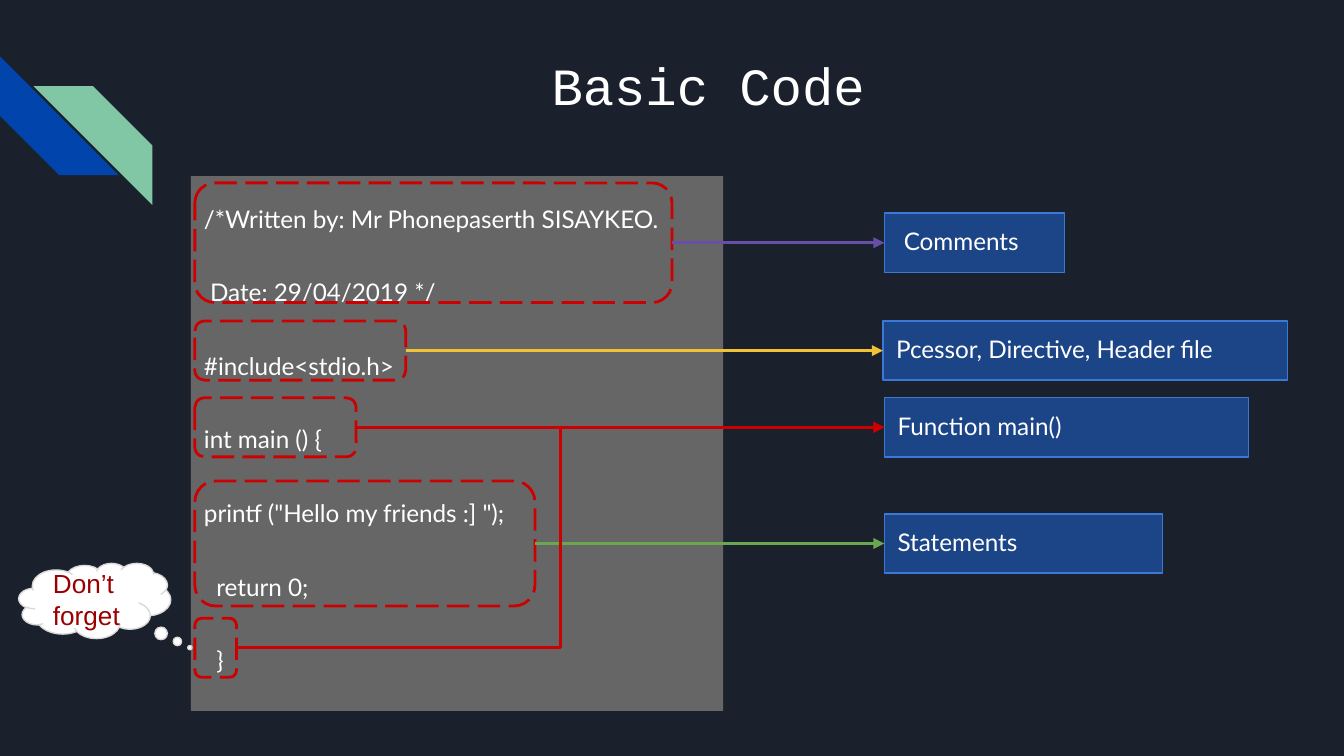
from dataclasses import dataclass

from lxml import etree
from pptx import Presentation
from pptx.dml.color import RGBColor
from pptx.enum import dml, shapes, text
from pptx.oxml import ns
from pptx.util import Pt

SHAPE = shapes.MSO_SHAPE
LINK = shapes.MSO_CONNECTOR
RIGHT_SITE, LEFT_SITE = 3, 1


@dataclass(frozen=True)
class Theme:
    background: str = "1B212C"
    white: str = "FFFFFF"
    blue: str = "0145AC"
    mint: str = "82C7A5"
    panel: str = "666666"
    label: str = "1C4587"
    label_edge: str = "3C78D8"
    red: str = "CC0000"
    purple: str = "674EA7"
    yellow: str = "F1C232"
    green: str = "6AA84F"
    cloud_edge: str = "D9D9D9"
    cloud_text: str = "990000"
    title_size: float = 28
    code_size: float = 13
    cloud_size: float = 14


THEME = Theme()

CODE = [
    "/*Written by: Mr Phonepaserth SISAYKEO.",
    " Date: 29/04/2019 */",
    "#include<stdio.h>",
    "int main () {",
    'printf ("Hello my friends :] ");',
    "  return 0;",
    "  }",
]
ROW_HEIGHT = 31.7
# Top, width and height in the panel; label text, left and width; arrow colour
PARTS = [
    (3.7, 255.6, 64.1, " Comments", 473.8, 96.5, THEME.purple),
    (77.7, 113, ROW_HEIGHT, "Pcessor, Directive, Header file", 473, 216.7, THEME.yellow),
    (118.8, 86.4, ROW_HEIGHT, "Function main()", 473.8, 195.1, THEME.red),
    (163.4, 182.2, 67, "Statements", 473.8, 149, THEME.green),
]
CLOSING_BRACE = (236.9, 22.3, ROW_HEIGHT)


def rgb(value):
    return RGBColor.from_string(value)


def add_box(slide, kind, box, fill=None, edge=None, weight=0.75):
    shape = slide.shapes.add_shape(kind, *map(Pt, box))
    shape.shadow.inherit = False
    if fill:
        shape.fill.solid()
        shape.fill.fore_color.rgb = rgb(fill)
    else:
        shape.fill.background()
    if edge:
        shape.line.color.rgb = rgb(edge)
        shape.line.width = Pt(weight)
    else:
        shape.line.fill.background()
    return shape


def write(shape, lines, *, size, font="Lato", color=THEME.white,
          align=text.PP_ALIGN.LEFT, anchor=text.MSO_ANCHOR.TOP,
          line_spacing=None, before=0, after=0):
    frame = shape.text_frame
    frame.word_wrap = True
    frame.vertical_anchor = anchor
    frame.margin_left = frame.margin_right = Pt(7.2)
    frame.margin_top = frame.margin_bottom = Pt(7.2)
    for i, line in enumerate(lines):
        paragraph = frame.add_paragraph() if i else frame.paragraphs[0]
        paragraph.text = line
        paragraph.alignment = align
        paragraph.line_spacing = line_spacing
        paragraph.space_before = Pt(before if i else 0)
        paragraph.space_after = Pt(after)
        paragraph.font.name = font
        paragraph.font.size = Pt(size)
        paragraph.font.color.rgb = rgb(color)


def add_arrow(slide, source, target, color, kind=LINK.STRAIGHT):
    """Join the right side of source to the left side of target."""
    start_y = source.top + source.height // 2
    end_y = target.top + target.height // 2
    arrow = slide.shapes.add_connector(
        kind, source.left + source.width, start_y, target.left, end_y)
    arrow.begin_connect(source, RIGHT_SITE)
    arrow.end_connect(target, LEFT_SITE)
    arrow.line.color.rgb = rgb(color)
    arrow.line.width = Pt(1.5)
    line = arrow.line._get_or_add_ln()
    etree.SubElement(line, ns.qn("a:tailEnd"), type="triangle")
    etree.SubElement(arrow._element.spPr, ns.qn("a:effectLst"))


def add_corner_stripes(slide, box):
    left, top, side = box
    offsets = [(0, 0, 270, THEME.blue), (18, 16, 90, THEME.mint)]
    for dx, dy, turn, color in offsets:
        stripe = add_box(slide, SHAPE.DIAGONAL_STRIPE,
                         (left + dx, top + dy, side, side), color)
        stripe.rotation = turn


def add_title(slide, box):
    title = slide.shapes.add_textbox(*map(Pt, box))
    write(title, ["Basic Code"], size=THEME.title_size, font="Courier New",
          align=text.PP_ALIGN.CENTER, anchor=text.MSO_ANCHOR.MIDDLE)


def add_code_diagram(slide, box):
    left, top = box[:2]

    def add_outline(dy, width, height):
        outline = add_box(slide, SHAPE.ROUNDED_RECTANGLE,
                          (left + 2.2, top + dy, width, height),
                          edge=THEME.red, weight=1.5)
        outline.line.dash_style = dml.MSO_LINE.LONG_DASH
        return outline

    # Code panel
    panel = add_box(slide, SHAPE.RECTANGLE, box, THEME.panel)
    write(panel, CODE, size=THEME.code_size, line_spacing=1.5, before=16)

    # Each part of the code with its label and arrow
    labels = {}
    for dy, width, height, caption, label_left, label_width, color in PARTS:
        outline = add_outline(dy, width, height)
        label_top = top + dy + (height - ROW_HEIGHT) / 2
        label = add_box(slide, SHAPE.RECTANGLE,
                        (label_left, label_top, label_width, ROW_HEIGHT),
                        THEME.label, THEME.label_edge)
        write(label, [caption], size=THEME.code_size, after=16)
        add_arrow(slide, outline, label, color)
        labels[caption] = label

    # The closing brace belongs to main()
    brace = add_outline(*CLOSING_BRACE)
    add_arrow(slide, brace, labels["Function main()"], THEME.red, LINK.ELBOW)


def add_reminder(slide, box):
    cloud = add_box(slide, SHAPE.CLOUD_CALLOUT, box, THEME.white, THEME.cloud_edge)
    cloud.adjustments[0] = 0.626
    cloud.adjustments[1] = 0.624
    write(cloud, ["Don’t forget"], size=THEME.cloud_size, font="Arial",
          color=THEME.cloud_text, anchor=text.MSO_ANCHOR.MIDDLE)


def main():
    deck = Presentation()
    deck.slide_width, deck.slide_height = Pt(720), Pt(405)
    slide = deck.slides.add_slide(deck.slide_layouts[6])
    slide.background.fill.solid()
    slide.background.fill.fore_color.rgb = rgb(THEME.background)
    add_corner_stripes(slide, (0, 30.2, 63.6))
    add_title(slide, (102.2, 15.1, 554.4, 60.5))
    add_code_diagram(slide, (102.2, 94.3, 285.2, 286.6))
    add_reminder(slide, (10.1, 301.7, 81.4, 40.3))
    deck.save("out.pptx")


if __name__ == "__main__":
    main()
